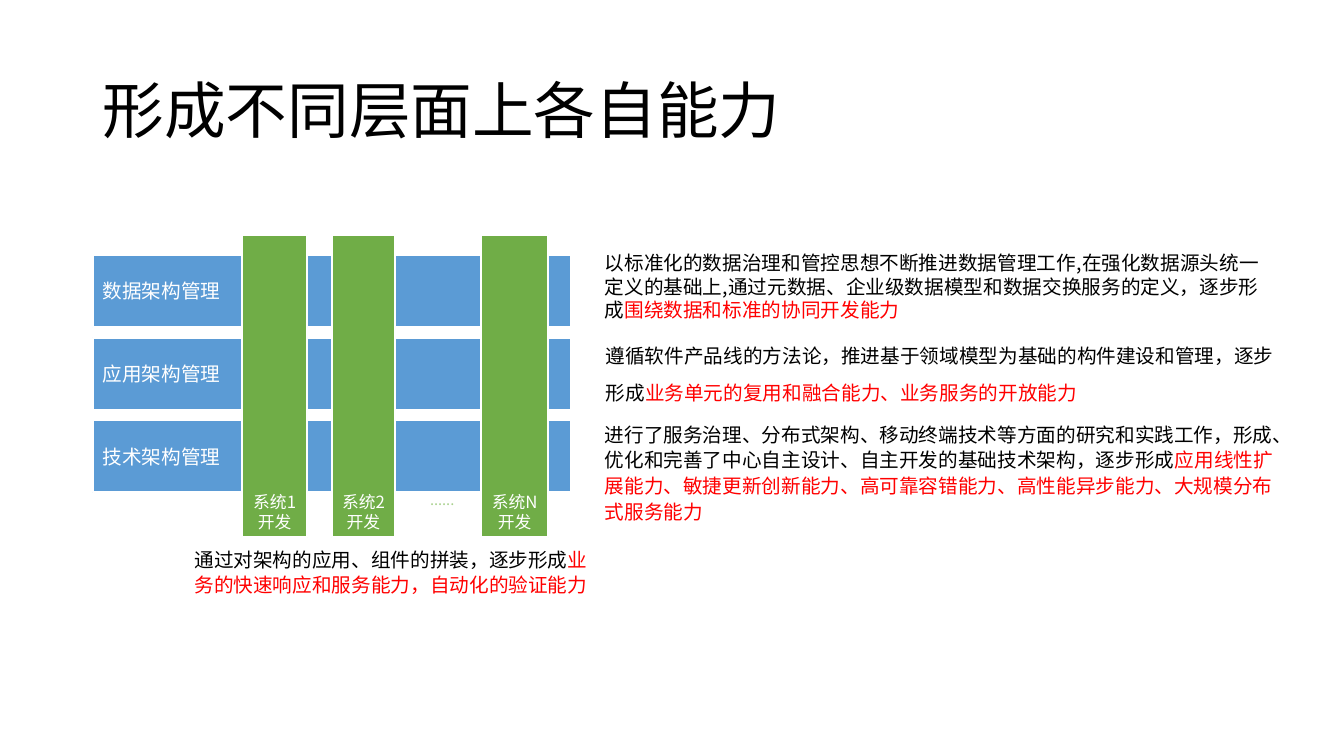
from pptx import Presentation
from pptx.dml.color import RGBColor
from pptx.enum.shapes import MSO_SHAPE
from pptx.enum.text import MSO_ANCHOR, PP_ALIGN
from pptx.oxml.ns import qn
from pptx.util import Inches, Pt

RECT = MSO_SHAPE.RECTANGLE
TOP, MIDDLE, BOTTOM = MSO_ANCHOR.TOP, MSO_ANCHOR.MIDDLE, MSO_ANCHOR.BOTTOM
LEFT, CENTER = PP_ALIGN.LEFT, PP_ALIGN.CENTER
WIDE, HIGH = Inches(13.33), Inches(7.5)
FONT = "Noto Sans CJK SC"
COLORS = {"black": "000000", "white": "FFFFFF", "red": "FF0000",
          "blue": "5B9BD5", "green": "70AD47", "pale": "A9D18E"}

LAYERS = ["数据架构管理", "应用架构管理", "技术架构管理"]
SYSTEMS = [("系统1", 18, 4.88), ("系统2", 24.68, 4.73), ("系统N", 35.78, 5.03)]
NOTES = [
    ((44.26, 32.53, 51.39, 10.8), 16.8, {},
     "以标准化的数据治理和管控思想不断推进数据管理工作,在强化数据源头统一定义的基础上,通过元数据、企业级数据模型和数据交换服务的定义，逐步形成",
     "围绕数据和标准的协同开发能力"),
    ((44.33, 43.73, 51.39, 9.87), 26.4, {"margin_top": 0},
     "遵循软件产品线的方法论，推进基于领域模型为基础的构件建设和管理，逐步形成",
     "业务单元的复用和融合能力、业务服务的开放能力"),
    ((44.26, 54.93, 51.39, 15.2), 18.4, {},
     "进行了服务治理、分布式架构、移动终端技术等方面的研究和实践工作，形成、优化和完善了中心自主设计、自主开发的基础技术架构，逐步形成",
     "应用线性扩展能力、敏捷更新创新能力、高可靠容错能力、高性能异步能力、大规模分布式服务能力"),
    ((13.73, 71.47, 31.81, 8.27), 18.4, {},
     "通过对架构的应用、组件的拼装，逐步形成",
     "业务的快速响应和服务能力，自动化的验证能力"),
]


def paint(name):
    return RGBColor.from_string(COLORS[name])


def place(box):
    x, y, w, h = box
    return [round(part * size / 100)
            for part, size in ((x, WIDE), (y, HIGH), (w, WIDE), (h, HIGH))]


def apply(target, values):
    for name, value in values.items():
        setattr(target, name, value)


def write(shape, lines, size, space, align=LEFT, **frame):
    text = shape.text_frame
    apply(text, {"word_wrap": True, "vertical_anchor": TOP, **frame})
    for index, line in enumerate(lines):
        para = text.paragraphs[0] if index == 0 else text.add_paragraph()
        apply(para, {"alignment": align, "line_spacing": space})
        for words, color in line:
            run = para.add_run()
            run.text = words
            apply(run.font, {"name": FONT, "size": Pt(size)})
            run.font.color.rgb = paint(color)
            props = run.font._element
            east = props.makeelement(qn("a:ea"), {"typeface": FONT})
            props.append(east)


def label(slide, box, lines, size, space, **style):
    write(slide.shapes.add_textbox(*place(box)), lines, size, space, **style)


def block(slide, box, color, lines, size, **style):
    shape = slide.shapes.add_shape(RECT, *place(box))
    shape.shadow.inherit = False
    shape.fill.solid()
    shape.fill.fore_color.rgb = paint(color)
    shape.line.color.rgb = paint("white")
    shape.line.width = Pt(1.5)
    write(shape, lines, size, Pt(size * 1.2), **style)


def main():
    deck = Presentation()
    apply(deck, {"slide_width": WIDE, "slide_height": HIGH})
    slide = deck.slides.add_slide(deck.slide_layouts[6])
    label(slide, (6.9, 5.33, 86.27, 19.33),
          [[("形成不同层面上各自能力", "black")]], 44, 0.9, vertical_anchor=MIDDLE)
    for row, name in enumerate(LAYERS):
        block(slide, (6.9, 33.73 + 10.93 * row, 35.56, 9.53), "blue",
              [[(name, "white")]], 14, vertical_anchor=MIDDLE)
    for name, left, width in SYSTEMS:
        block(slide, (left, 31.07, width, 40), "green",
              [[(name, "white")], [("开发", "white")]], 12,
              align=CENTER, vertical_anchor=BOTTOM)
    label(slide, (29.41, 64.27, 6.98, 3.87), [[("......", "pale")]],
          10.5, Pt(12.6), align=CENTER)
    for box, space, frame, plain, strong in NOTES:
        label(slide, box, [[(plain, "black"), (strong, "red")]],
              14, Pt(space), **frame)
    deck.save("out.pptx")


if __name__ == "__main__":
    main()
